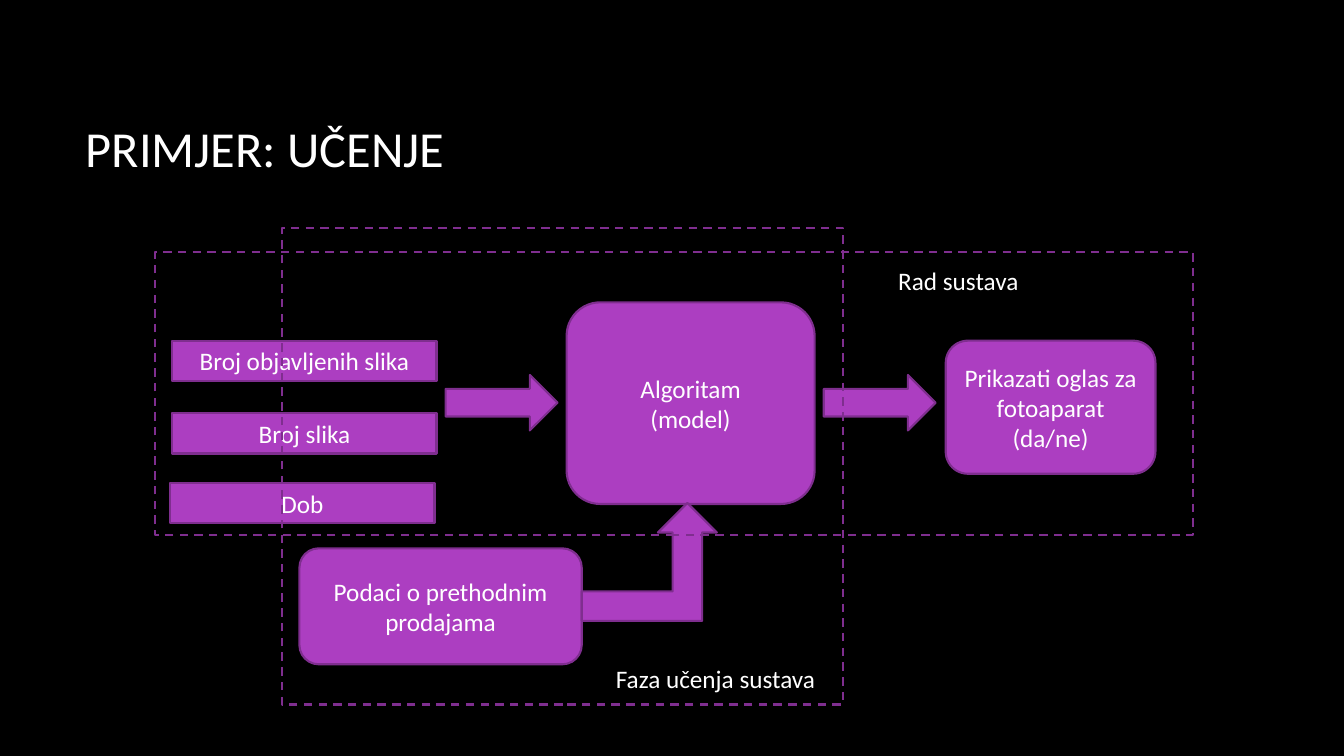
from pptx import Presentation
from pptx.dml.color import RGBColor
from pptx.enum.dml import MSO_LINE
from pptx.enum.shapes import MSO_SHAPE
from pptx.enum.text import MSO_ANCHOR, MSO_AUTO_SIZE, PP_ALIGN
from pptx.util import Inches, Pt

COLORS = {"background": "000000", "text": "FFFFFF", "fill": "AC3EC1", "line": "7F2E8F"}
FONT = "Calibri"


def color(name):
    return RGBColor.from_string(COLORS[name])


def inches(box):
    return [Inches(length) for length in box]


def write(frame, text, size=18, align=PP_ALIGN.LEFT):
    frame.text = text
    for paragraph in frame.paragraphs:
        paragraph.alignment = align
        for run in paragraph.runs:
            run.font.name = FONT
            run.font.size = Pt(size)
            run.font.color.rgb = color("text")


def add_title(slide, text, box):
    title = slide.shapes.title
    title.left, title.top, title.width, title.height = inches(box)
    title.text_frame.vertical_anchor = MSO_ANCHOR.MIDDLE
    write(title.text_frame, text, size=36)


def add_outlined(slide, preset, box):
    outlined = slide.shapes.add_shape(preset, *inches(box))
    outlined.shadow.inherit = False
    outlined.line.color.rgb = color("line")
    outlined.line.width = Pt(1.5)
    return outlined


def add_block(slide, preset, box, text=""):
    block = add_outlined(slide, preset, box)
    block.fill.solid()
    block.fill.fore_color.rgb = color("fill")
    if text:
        block.text_frame.word_wrap = True
        block.text_frame.vertical_anchor = MSO_ANCHOR.MIDDLE
        write(block.text_frame, text, align=PP_ALIGN.CENTER)


def add_phase_frame(slide, box):
    phase = add_outlined(slide, MSO_SHAPE.RECTANGLE, box)
    phase.fill.background()
    phase.line.dash_style = MSO_LINE.DASH


def add_label(slide, text, box):
    frame = slide.shapes.add_textbox(*inches(box)).text_frame
    frame.word_wrap = False
    frame.auto_size = MSO_AUTO_SIZE.SHAPE_TO_FIT_TEXT
    write(frame, text)


def main():
    deck = Presentation()
    deck.slide_width, deck.slide_height = Inches(13.33), Inches(7.5)
    slide = deck.slides.add_slide(deck.slide_layouts[5])
    slide.background.fill.solid()
    slide.background.fill.fore_color.rgb = color("background")

    add_title(slide, "PRIMJER: UČENJE", (0.75, 0.67, 11.08, 1.59))

    rounded = MSO_SHAPE.ROUNDED_RECTANGLE
    add_block(slide, rounded, (5.62, 3, 2.46, 2), "Algoritam\n(model)")
    for left in (4.42, 8.17):
        add_block(slide, MSO_SHAPE.RIGHT_ARROW, (left, 3.72, 1.11, 0.55))

    inputs = [
        ("Broj objavljenih slika", 1.71, 3.38),
        ("Broj slika", 1.71, 4.1),
        ("Dob", 1.69, 4.79),
    ]
    for text, left, top in inputs:
        add_block(slide, MSO_SHAPE.RECTANGLE, (left, top, 2.62, 0.4), text)

    add_block(slide, rounded, (9.38, 3.38, 2.08, 1.32), "Prikazati oglas za fotoaparat\n(da/ne)")
    add_block(slide, rounded, (2.97, 5.44, 2.8, 1.15), "Podaci o prethodnim prodajama")
    add_block(slide, MSO_SHAPE.BENT_UP_ARROW, (5.77, 4.99, 1.34, 1.17))

    add_phase_frame(slide, (2.8, 2.26, 5.56, 4.73))
    add_phase_frame(slide, (1.54, 2.5, 10.29, 2.81))
    add_label(slide, "Faza učenja sustava", (6.01, 6.53, 2.2, 0.4))
    add_label(slide, "Rad sustava", (8.81, 2.58, 1.41, 0.4))

    deck.save("out.pptx")


main()
